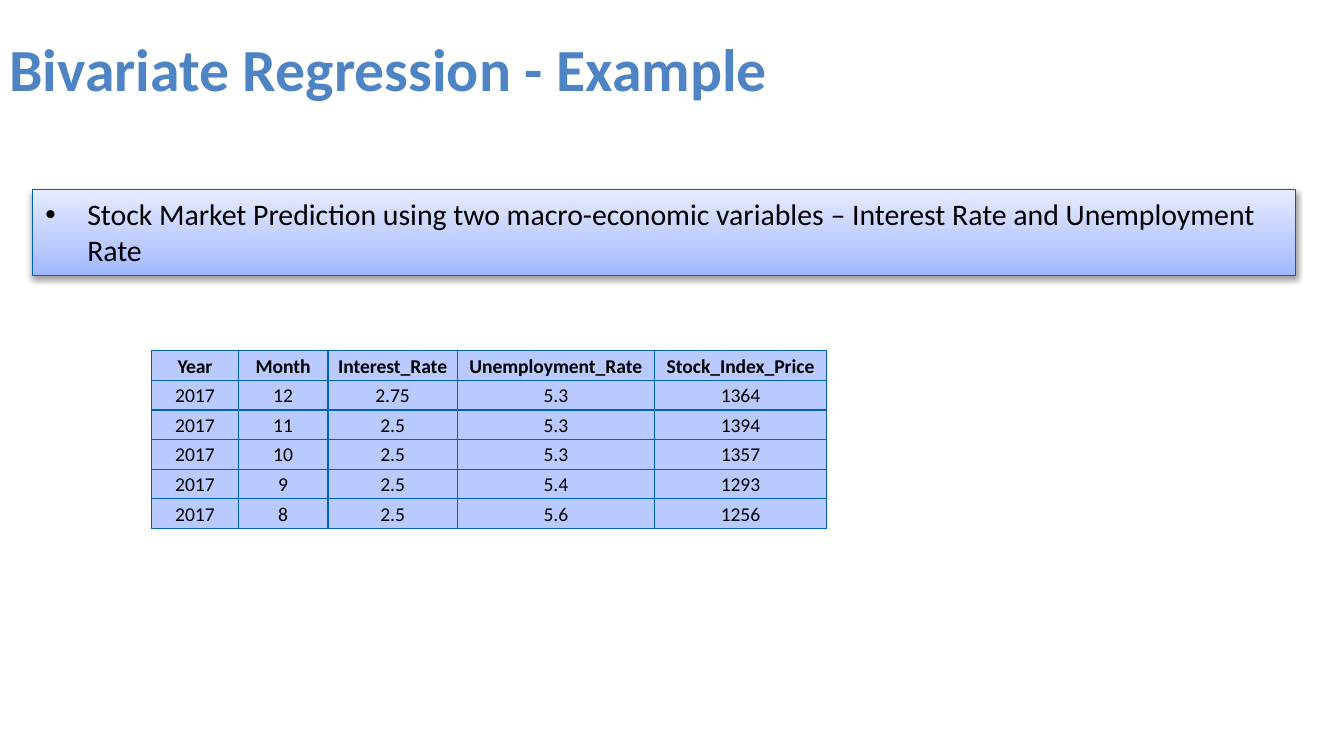
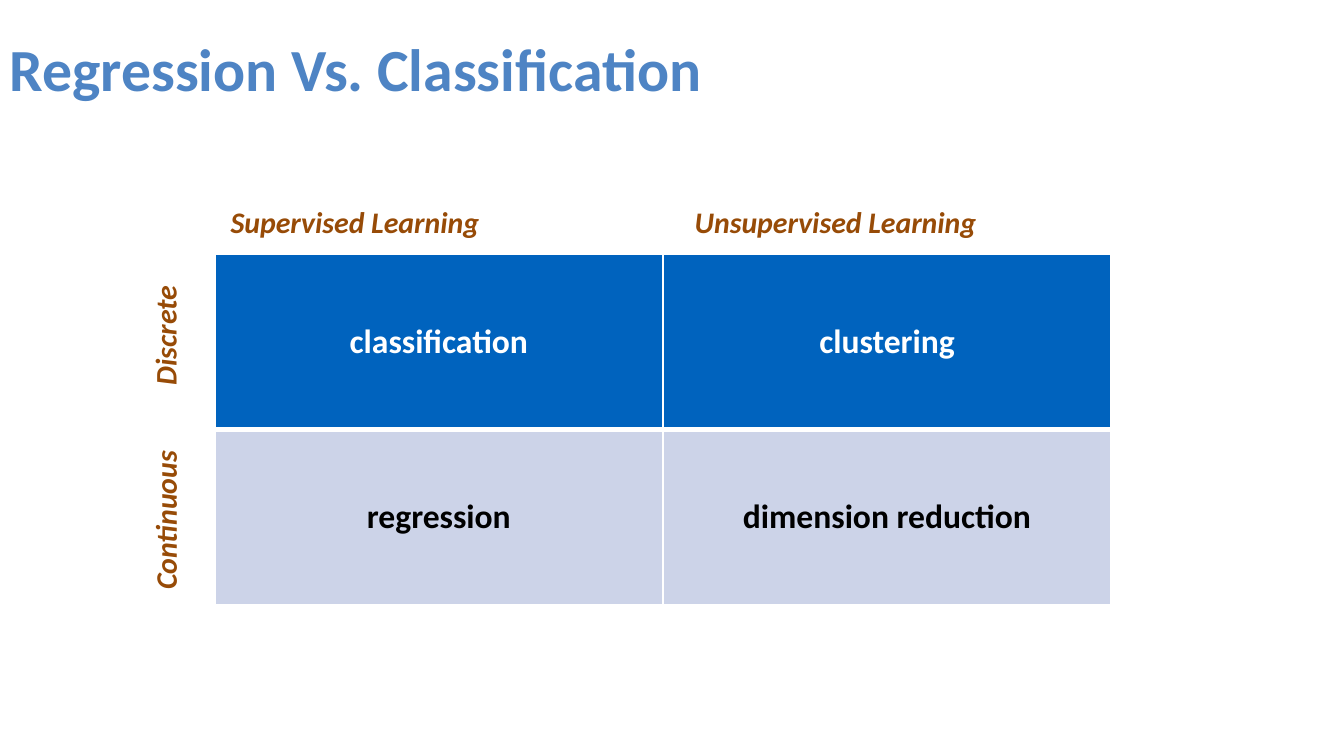
"""Build two slides on regression: a sample data table and a method matrix."""
from dataclasses import dataclass

from pptx import Presentation
from pptx import util as u
from pptx.dml.color import RGBColor
from pptx.enum import shapes, text
from pptx.oxml import parse_xml
from pptx.oxml.ns import nsdecls, qn

FONT = "Calibri"
TITLE_BLUE = "4E84C4"
LINE_BLUE = "0061BA"
CELL_BLUE = "B8CAFF"
HEAD_BLUE = "0063BE"
PALE_BLUE = "CCD3E8"
BROWN = "974B07"
BLACK = "000000"
WHITE = "FFFFFF"
BANNER_STOPS = ((0, "9FB7FF"), (35, "BBCBFF"), (100, "E5EBFF"))
TITLE_ONLY = 5


@dataclass(frozen=True)
class RowStyle:
    """Look of one table row, with border widths in points."""
    fill: str
    ink: str
    bold: bool
    top: float = 0.75
    bottom: float = 0.75
    side: float = 0.75


@dataclass(frozen=True)
class Grid:
    """A table with its place and sizes in centimetres."""
    left: float
    top: float
    widths: tuple
    row_height: float
    rows: tuple
    head: RowStyle
    body: RowStyle
    size: float
    border: str
    margin: float | None = None


@dataclass(frozen=True)
class Label:
    """An axis caption, placed in centimetres."""
    words: str
    left: float
    top: float
    width: float
    rotation: int = 0


RATES = Grid(
    2.87, 6.63, (1.63, 1.7, 2.44, 3.73, 3.25), 0.56,
    (("Year", "Month", "Interest_Rate", "Unemployment_Rate", "Stock_Index_Price"),
     ("2017", "12", "2.75", "5.3", "1364"),
     ("2017", "11", "2.5", "5.3", "1394"),
     ("2017", "10", "2.5", "5.3", "1357"),
     ("2017", "9", "2.5", "5.4", "1293"),
     ("2017", "8", "2.5", "5.6", "1256")),
    RowStyle(CELL_BLUE, BLACK, True), RowStyle(CELL_BLUE, BLACK, False),
    10.5, LINE_BLUE, 0.03)

METHODS = Grid(
    4.06, 4.8, (8.47, 8.47), 3.32,
    (("classification", "clustering"), ("regression", "dimension reduction")),
    RowStyle(HEAD_BLUE, WHITE, True, 1, 3, 1),
    RowStyle(PALE_BLUE, BLACK, True, 3, 1, 1),
    18, WHITE)

LABELS = (
    Label("Supervised Learning", 4.11, 3.73, 8.08),
    Label("Unsupervised Learning", 12.88, 3.73, 8.08),
    Label("Discrete", 1.85, 5.79, 2.54, 270),
    Label("Continuous", 1.5, 9.3, 3.25, 270),
)


def rgb(value: str) -> RGBColor:
    """Turn a hex string into a colour."""
    return RGBColor.from_string(value)


def style(para, size: float, ink: str, bold: bool = False, italic: bool = False) -> None:
    """Set the font of a whole paragraph."""
    font = para.font
    font.name, font.size = FONT, u.Pt(size)
    font.bold, font.italic = bold, italic
    font.color.rgb = rgb(ink)


def add_page(deck, title: str):
    """Add a slide with the shared title style."""
    page = deck.slides.add_slide(deck.slide_layouts[TITLE_ONLY])
    box = page.shapes.title
    box.left, box.top, box.width, box.height = u.Cm(0), u.Cm(0.61), u.Cm(24.69), u.Cm(1.35)
    frame = box.text_frame
    frame.text = title
    frame.auto_size = text.MSO_AUTO_SIZE.NONE
    frame.vertical_anchor = text.MSO_ANCHOR.MIDDLE
    frame.margin_left = frame.margin_right = u.Cm(0.18)
    frame.margin_top = frame.margin_bottom = u.Cm(0.1)
    para = frame.paragraphs[0]
    para.alignment = text.PP_ALIGN.LEFT
    style(para, 32, TITLE_BLUE, bold=True)
    return page


def add_banner(page, words: str) -> None:
    """Add the shaded, bulleted statement box."""
    box = page.shapes.add_shape(
        shapes.MSO_SHAPE.RECTANGLE, u.Cm(0.61), u.Cm(3.58), u.Cm(23.88), u.Cm(1.63))
    box.line.color.rgb = rgb(LINE_BLUE)
    box.line.width = u.Pt(0.75)
    box.fill.gradient()
    box.fill.gradient_angle = 90
    properties = box._element.spPr
    stops = properties.find(".//" + qn("a:gsLst"))
    stops.clear()
    for position, colour in BANNER_STOPS:
        stops.append(parse_xml(
            f'<a:gs {nsdecls("a")} pos="{position * 1000}"><a:srgbClr val="{colour}"/></a:gs>'))
    box.shadow.inherit = False
    properties.find(qn("a:effectLst")).append(parse_xml(
        f'<a:outerShdw {nsdecls("a")} blurRad="{u.Pt(3.1)}" dist="{u.Pt(1.6)}" dir="5400000" '
        f'rotWithShape="0"><a:srgbClr val="{BLACK}"><a:alpha val="38000"/></a:srgbClr>'
        '</a:outerShdw>'))
    frame = box.text_frame
    frame.text = words
    frame.word_wrap = True
    frame.vertical_anchor = text.MSO_ANCHOR.TOP
    para = frame.paragraphs[0]
    para.alignment = text.PP_ALIGN.LEFT
    style(para, 16, BLACK)
    indent = u.Cm(0.79)
    settings = para._p.get_or_add_pPr()
    settings.set("marL", str(indent))
    settings.set("indent", str(-indent))
    for tag in ('buFont {} typeface="Arial"', 'buChar {} char="•"'):
        settings.insert_element_before(
            parse_xml(f"<a:{tag.format(nsdecls('a'))}/>"), "a:tabLst", "a:defRPr")


def set_borders(cell, look: RowStyle, colour: str) -> None:
    """Draw the four borders of a cell."""
    properties = cell._tc.get_or_add_tcPr()
    sides = (("L", look.side), ("R", look.side), ("T", look.top), ("B", look.bottom))
    for index, (side, width) in enumerate(sides):
        properties.insert(index, parse_xml(
            f'<a:ln{side} {nsdecls("a")} w="{u.Pt(width)}"><a:solidFill>'
            f'<a:srgbClr val="{colour}"/></a:solidFill></a:ln{side}>'))


def add_grid(page, grid: Grid) -> None:
    """Add a table with a styled head row and body rows."""
    count = len(grid.rows)
    table = page.shapes.add_table(
        count, len(grid.widths), u.Cm(grid.left), u.Cm(grid.top),
        u.Cm(sum(grid.widths)), u.Cm(count * grid.row_height)).table
    table.first_row = table.horz_banding = False
    for column, width in zip(table.columns, grid.widths):
        column.width = u.Cm(width)
    for index, (row, values) in enumerate(zip(table.rows, grid.rows)):
        row.height = u.Cm(grid.row_height)
        look = grid.body if index else grid.head
        for cell, value in zip(row.cells, values):
            cell.text = value
            cell.vertical_anchor = text.MSO_ANCHOR.MIDDLE
            if grid.margin is not None:
                cell.margin_left = cell.margin_right = cell.margin_top = u.Cm(grid.margin)
                cell.margin_bottom = 0
            set_borders(cell, look, grid.border)
            cell.fill.solid()
            cell.fill.fore_color.rgb = rgb(look.fill)
            para = cell.text_frame.paragraphs[0]
            para.alignment = text.PP_ALIGN.CENTER
            style(para, grid.size, look.ink, look.bold)


def add_label(page, label: Label) -> None:
    """Add one caption beside the matrix."""
    box = page.shapes.add_textbox(
        u.Cm(label.left), u.Cm(label.top), u.Cm(label.width), u.Cm(0.94))
    box.rotation = label.rotation
    frame = box.text_frame
    frame.text = label.words
    frame.word_wrap = True
    style(frame.paragraphs[0], 16, BROWN, bold=True, italic=True)


def main() -> None:
    """Build and save the deck."""
    deck = Presentation()
    deck.slide_width, deck.slide_height = u.Cm(25.4), u.Cm(14.29)

    example = add_page(deck, "Bivariate Regression - Example")
    add_banner(example, "Stock Market Prediction using two macro-economic variables – "
                        "Interest Rate and Unemployment Rate")
    add_grid(example, RATES)

    comparison = add_page(deck, "Regression Vs. Classification")
    add_grid(comparison, METHODS)
    for label in LABELS:
        add_label(comparison, label)

    deck.save("out.pptx")


if __name__ == "__main__":
    main()
